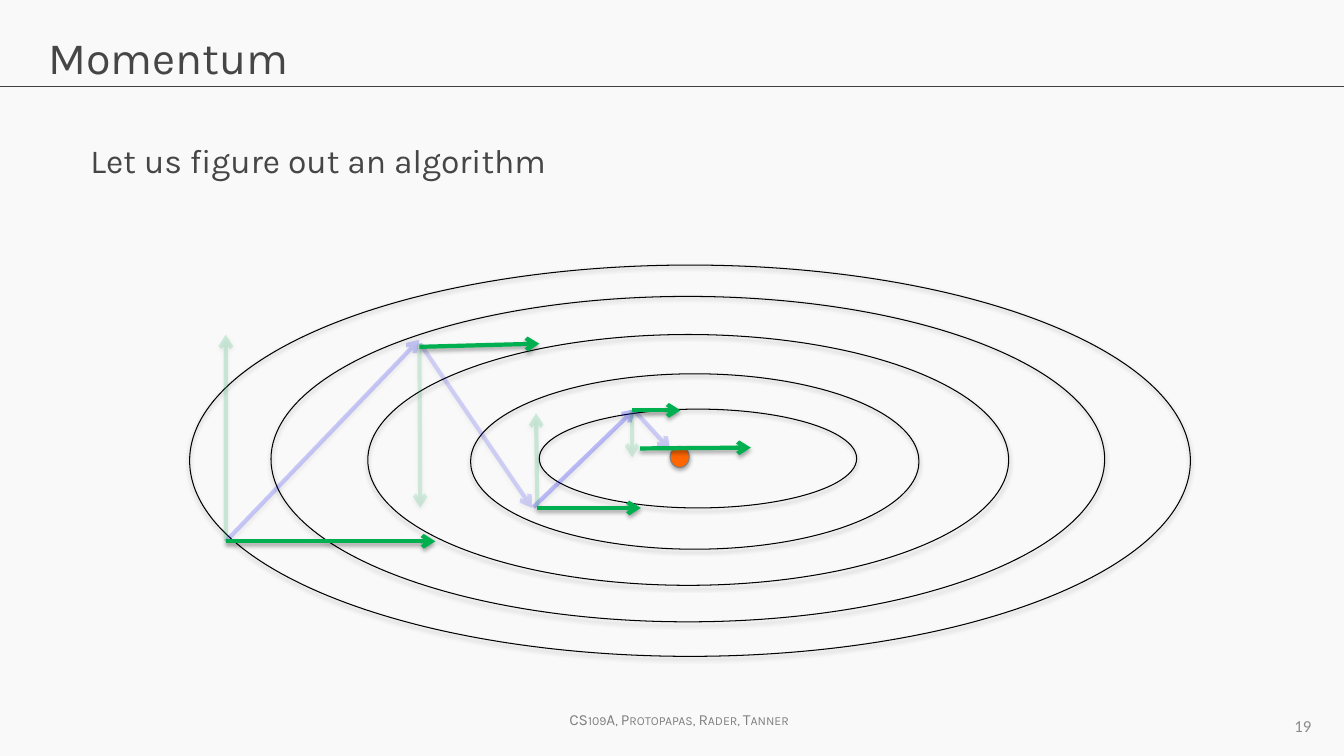
from lxml import etree
from pptx import Presentation
from pptx.dml.color import RGBColor
from pptx.enum.shapes import MSO_CONNECTOR, MSO_SHAPE
from pptx.enum.text import MSO_ANCHOR, MSO_AUTO_SIZE, PP_ALIGN
from pptx.oxml.ns import qn
from pptx.util import Cm, Pt

STRAIGHT = MSO_CONNECTOR.STRAIGHT
OVAL = MSO_SHAPE.OVAL
TOP, MIDDLE = MSO_ANCHOR.TOP, MSO_ANCHOR.MIDDLE
NO_AUTOFIT = MSO_AUTO_SIZE.NONE
LEFT, CENTER, RIGHT = PP_ALIGN.LEFT, PP_ALIGN.CENTER, PP_ALIGN.RIGHT

PAPER = RGBColor(0xF9, 0xF9, 0xF9)
INK = RGBColor(0x46, 0x46, 0x46)
RULE = RGBColor(0x40, 0x40, 0x40)
FOOTER = RGBColor(0x80, 0x80, 0x80)
NUMBER = RGBColor(0x8C, 0x8C, 0x8C)
BLACK = RGBColor(0, 0, 0)
DOT_EDGE = RGBColor(0x7F, 0x7F, 0x7F)
ORANGE = RGBColor(0xFF, 0x66, 0)
BLUE = RGBColor(0, 0, 0xFF)
GREEN = RGBColor(0, 0xB0, 0x50)

CONTOURS = [
    (13.59, 10.31, 8, 2.49),
    (11.86, 9.42, 11.3, 4.42),
    (9.27, 8.43, 16.15, 6.32),
    (6.83, 7.47, 21.01, 8.2),
    (4.78, 6.68, 25.22, 9.86),
]
MINIMUM = (16.89, 11.25, 0.48, 0.53)

START = (5.69, 13.64)
LOWER_TURN = (13.54, 12.8)
UPPER_TURN = (15.93, 10.34)
ARROWS = [
    (START, (10.57, 8.56), BLUE, 19),
    ((10.59, 8.66), (13.41, 12.8), BLUE, 14),
    ((16, 10.36), (16.89, 11.33), BLUE, 16),
    ((13.44, 12.78), (16, 10.31), BLUE, 23),
    (START, (10.97, 13.64), GREEN, 100),
    (START, (5.69, 8.43), GREEN, 16),
    ((10.57, 8.74), (13.59, 8.66), GREEN, 100),
    ((10.57, 8.64), (10.59, 12.8), GREEN, 15),
    (LOWER_TURN, (16.15, 12.8), GREEN, 100),
    (LOWER_TURN, (13.51, 10.41), GREEN, 16),
    (UPPER_TURN, (17.15, 10.34), GREEN, 100),
    (UPPER_TURN, (15.93, 11.53), GREEN, 15),
    ((16.13, 11.3), (18.92, 11.28), GREEN, 100),
]


def add_xml(parent, tag, **values):
    return etree.SubElement(parent, qn(tag), values)


def apply(target, values):
    for name, value in values.items():
        setattr(target, name, value)


class SlideBuilder:
    font = "Karla"
    thin = Pt(0.75)
    thick = Pt(3)

    def __init__(self, deck):
        self.page = deck.slides.add_slide(deck.slide_layouts[5])
        fill = self.page.background.fill
        fill.solid()
        fill.fore_color.rgb = PAPER

    def set_text(self, box, text, size, color, align=LEFT, anchor=TOP,
                 font=None, wrap=True, small_caps=False):
        frame = box.text_frame
        apply(frame, {"word_wrap": wrap, "auto_size": NO_AUTOFIT,
                      "vertical_anchor": anchor})
        para = frame.paragraphs[0]
        apply(para, {"alignment": align, "space_before": Pt(0)})
        span = para.add_run()
        span.text = text
        apply(span.font, {"name": font or self.font, "size": Pt(size)})
        span.font.color.rgb = color
        if small_caps:
            span.font._element.set("cap", "small")

    def title(self, place, text, size, color):
        box = self.page.shapes.title
        names = ("left", "top", "width", "height")
        apply(box, dict(zip(names, map(Cm, place))))
        self.set_text(box, text, size, color)

    def text(self, place, text, size, color, **style):
        box = self.page.shapes.add_textbox(*map(Cm, place))
        self.set_text(box, text, size, color, **style)

    def shadow(self, shape):
        effects = add_xml(shape._element.spPr, "a:effectLst")
        outer = add_xml(effects, "a:outerShdw", blurRad="40000", dist="23000",
                        dir="5400000", rotWithShape="0")
        color = add_xml(outer, "a:srgbClr", val="000000")
        add_xml(color, "a:alpha", val="35000")

    def ellipse(self, shapes, place, edge, fill=None):
        oval = shapes.add_shape(OVAL, *map(Cm, place))
        if fill is None:
            oval.fill.background()
        else:
            oval.fill.solid()
            oval.fill.fore_color.rgb = fill
        oval.line.color.rgb = edge
        oval.line.width = self.thin
        self.shadow(oval)

    def contours(self, places):
        group = self.page.shapes.add_group_shape()
        for place in places:
            self.ellipse(group.shapes, place, BLACK)

    def line(self, start, end, color, width):
        line = self.page.shapes.add_connector(
            STRAIGHT, *map(Cm, (*start, *end)))
        line.line.color.rgb = color
        line.line.width = width
        return line

    def rule(self, start, end, color):
        line = self.line(start, end, color, self.thin)
        add_xml(line._element.spPr, "a:effectLst")

    def arrow(self, start, end, color, opacity):
        arrow = self.line(start, end, color, self.thick)
        outline = arrow._element.spPr.find(qn("a:ln"))
        if opacity < 100:
            paint = outline.find(".//" + qn("a:srgbClr"))
            add_xml(paint, "a:alpha", val=str(opacity * 1000))
        add_xml(outline, "a:tailEnd", type="arrow")
        self.shadow(arrow)


def main():
    deck = Presentation()
    deck.slide_width, deck.slide_height = Cm(33.87), Cm(19.05)
    slide = SlideBuilder(deck)
    slide.rule((0, 2.19), (33.87, 2.19), RULE)
    slide.text((13.94, 17.78, 6.35, 0.74), "CS109A, Protopapas, Rader, Tanner",
               11, FOOTER, align=CENTER, wrap=False, small_caps=True)
    slide.title((0.97, 0.61, 31.93, 2.13), "Momentum", 32, INK)
    slide.text((2.03, 3.4, 28.8, 1.63), "Let us figure out an algorithm",
               24, INK)
    slide.text((25.4, 17.78, 7.9, 1.02), "19", 12, NUMBER,
               align=RIGHT, anchor=MIDDLE, font="Calibri")
    slide.contours(CONTOURS)
    slide.ellipse(slide.page.shapes, MINIMUM, DOT_EDGE, ORANGE)
    for arrow in ARROWS:
        slide.arrow(*arrow)
    deck.save("out.pptx")


if __name__ == "__main__":
    main()
